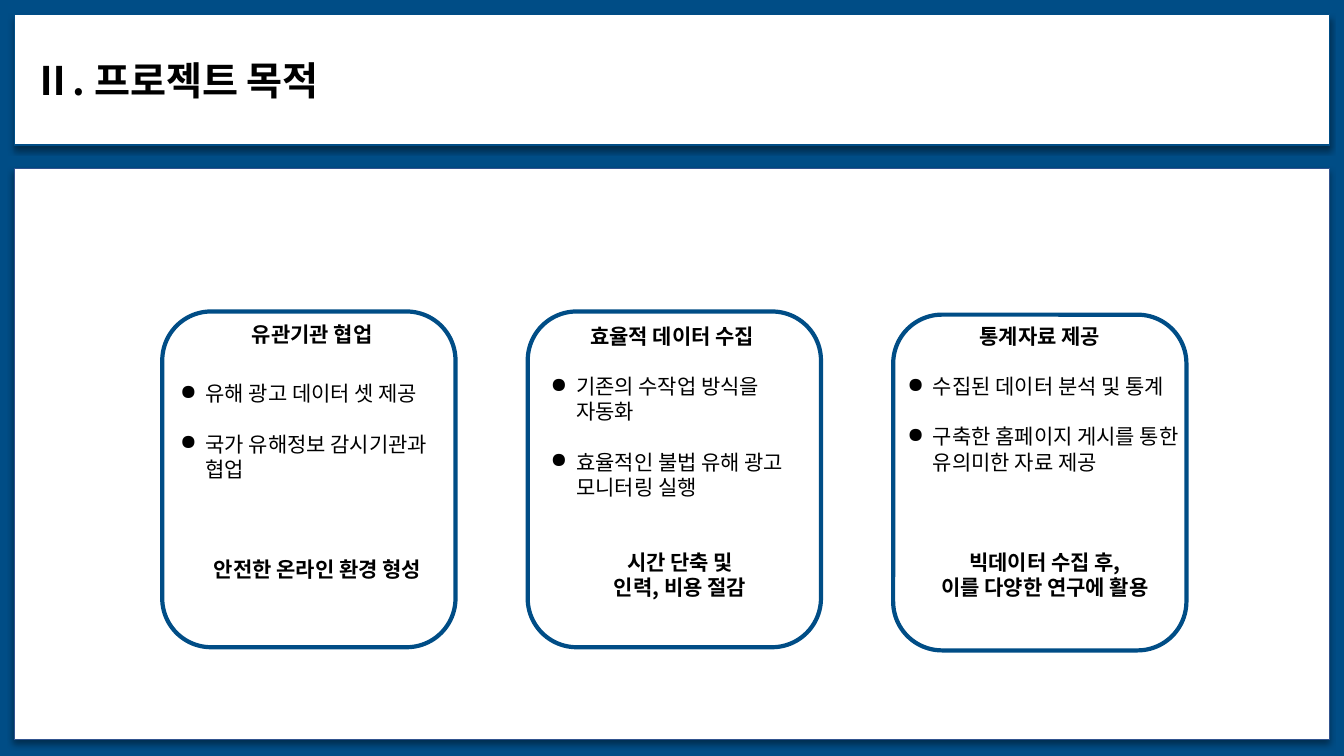
from dataclasses import dataclass

from lxml import etree
from pptx import Presentation
from pptx.dml.color import RGBColor
from pptx.enum.shapes import MSO_SHAPE
from pptx.enum.text import MSO_ANCHOR, MSO_AUTO_SIZE, PP_ALIGN
from pptx.oxml.ns import qn
from pptx.util import Cm, Pt

RECTANGLE = MSO_SHAPE.RECTANGLE
CARD_SHAPE = MSO_SHAPE.FLOWCHART_ALTERNATE_PROCESS
MIDDLE = MSO_ANCHOR.MIDDLE
GROW = MSO_AUTO_SIZE.SHAPE_TO_FIT_TEXT
LEFT = PP_ALIGN.LEFT
CENTER = PP_ALIGN.CENTER

NAVY = RGBColor(0x00, 0x4D, 0x86)
PANEL_EDGE = RGBColor(0x31, 0x53, 0x8F)
WHITE = RGBColor(0xFF, 0xFF, 0xFF)
BLACK = RGBColor(0x00, 0x00, 0x00)

FONT = "Noto Sans CJK KR"
TEXT_SIZE = 15
BLANK_LINE = 17.85
CARD_LEFT, CARD_PITCH = 4.09, 9.21
CARD_WIDTH, CARD_HEIGHT = 7.39, 8.46
HEADING_WIDTH, HEADING_HEIGHT = 6.86, 1.14


@dataclass
class Card:
    top: float
    heading: str
    heading_left: float
    heading_top: float
    body_left: float
    body_top: float
    body_width: float
    body_height: float
    bullets: list[str]
    closing: list[str]
    closing_gap: int


CARDS = [
    Card(7.85, "유관기관 협업", 4.44, 7.85, 4.17, 9.35, 7.67, 5.64,
         ["유해 광고 데이터 셋 제공", "국가 유해정보 감시기관과 협업"],
         ["안전한 온라인 환경 형성"], 3),
    Card(7.85, "효율적 데이터 수집", 13.51, 7.9, 13.51, 9.17, 7.26, 6.27,
         ["기존의 수작업 방식을 자동화", "효율적인 불법 유해 광고 모니터링 실행"],
         ["시간 단축 및", "인력, 비용 절감"], 2),
    Card(7.93, "통계자료 제공", 22.78, 7.9, 22.5, 9.17, 7.67, 8.26,
         ["수집된 데이터 분석 및 통계", "구축한 홈페이지 게시를 통한 유의미한 자료 제공"],
         ["빅데이터 수집 후,", "이를 다양한 연구에 활용"], 3),
]


def format_paragraph(paragraph, size: float, bold: bool, align=LEFT) -> None:
    paragraph.alignment = align
    for span in paragraph.runs:
        span.font.name = FONT
        span.font.size = Pt(size)
        span.font.bold = bold
        span.font.color.rgb = BLACK
        east_asian = etree.Element(qn("a:ea"), typeface=FONT)
        span.font._element.find(qn("a:latin")).addnext(east_asian)


def add_bullet(paragraph) -> None:
    properties = paragraph._p.get_or_add_pPr()
    properties.set("marL", str(Cm(0.76)))
    properties.set("indent", str(Cm(-0.64)))
    color = etree.SubElement(properties, qn("a:buClr"))
    etree.SubElement(color, qn("a:srgbClr"), val=str(BLACK))
    etree.SubElement(properties, qn("a:buChar"), char="●")


def add_panel(page, top: float, height: float, edge: RGBColor):
    panel = page.shapes.add_shape(RECTANGLE, Cm(0.36), Cm(top), Cm(33.15), Cm(height))
    panel.fill.solid()
    panel.fill.fore_color.rgb = WHITE
    panel.line.color.rgb = edge
    panel.line.width = Pt(1)
    panel.shadow.inherit = False
    effects = panel._element.spPr.find(qn("a:effectLst"))
    shadow = etree.SubElement(
        effects, qn("a:outerShdw"), blurRad=str(Pt(4)), dist=str(Pt(3)),
        dir="5400000", algn="t", rotWithShape="0")
    color = etree.SubElement(shadow, qn("a:srgbClr"), val=str(BLACK))
    etree.SubElement(color, qn("a:alpha"), val="40000")
    return panel


def add_text_frame(page, left: float, top: float, width: float, height: float):
    box = page.shapes.add_textbox(Cm(left), Cm(top), Cm(width), Cm(height))
    frame = box.text_frame
    frame.word_wrap = True
    frame.auto_size = GROW
    frame.margin_left = frame.margin_right = Cm(0.25)
    frame.margin_top = frame.margin_bottom = Cm(0.25)
    return frame


def add_card(page, index: int, card: Card) -> None:
    heading = add_text_frame(
        page, card.heading_left, card.heading_top, HEADING_WIDTH, HEADING_HEIGHT)
    heading.text = card.heading
    format_paragraph(heading.paragraphs[0], TEXT_SIZE, True, CENTER)

    body = add_text_frame(
        page, card.body_left, card.body_top, card.body_width, card.body_height)
    body.text = "\n".join(card.bullets + card.closing)
    bullet_count = len(card.bullets)
    for position, paragraph in enumerate(body.paragraphs):
        is_bullet = position < bullet_count
        if is_bullet:
            add_bullet(paragraph)
        if 0 < position < bullet_count:
            paragraph.space_before = Pt(BLANK_LINE)
        elif position == bullet_count:
            paragraph.space_before = Pt(BLANK_LINE * card.closing_gap)
        format_paragraph(
            paragraph, TEXT_SIZE, not is_bullet, LEFT if is_bullet else CENTER)

    outline = page.shapes.add_shape(
        CARD_SHAPE, Cm(CARD_LEFT + index * CARD_PITCH), Cm(card.top),
        Cm(CARD_WIDTH), Cm(CARD_HEIGHT))
    outline.fill.background()
    outline.line.color.rgb = NAVY
    outline.line.width = Pt(3)
    outline.shadow.inherit = False


def main() -> None:
    deck = Presentation()
    deck.slide_width, deck.slide_height = Cm(33.87), Cm(19.05)
    page = deck.slides.add_slide(deck.slide_layouts[6])
    page.background.fill.solid()
    page.background.fill.fore_color.rgb = NAVY

    add_panel(page, 4.24, 14.4, PANEL_EDGE)
    title = add_panel(page, 0.36, 3.3, NAVY).text_frame
    title.text = "Ⅱ. 프로젝트 목적"
    title.vertical_anchor = MIDDLE
    title.margin_left = Cm(0.48)
    format_paragraph(title.paragraphs[0], 28, True)

    for index, card in enumerate(CARDS):
        add_card(page, index, card)

    deck.save("out.pptx")


if __name__ == "__main__":
    main()
